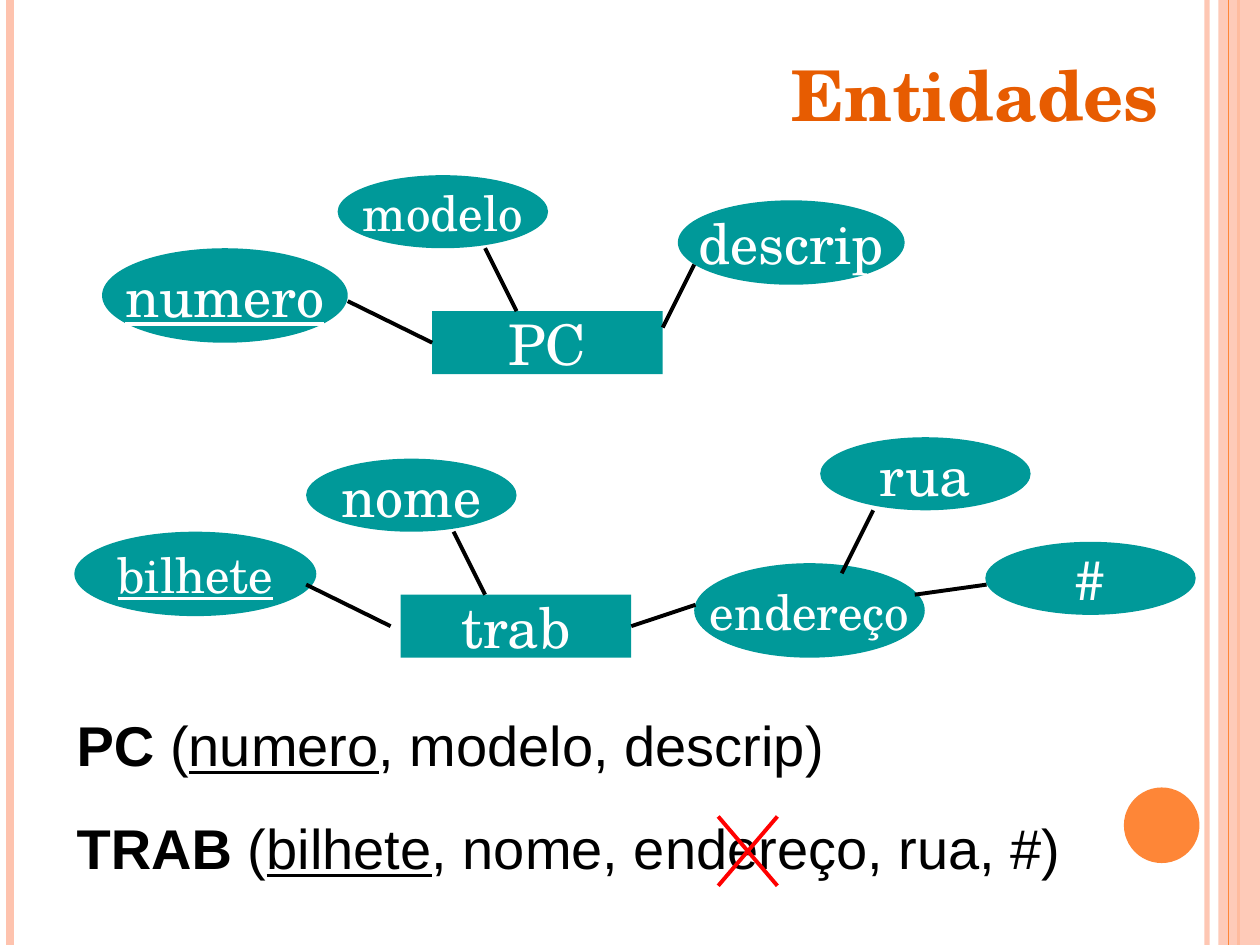
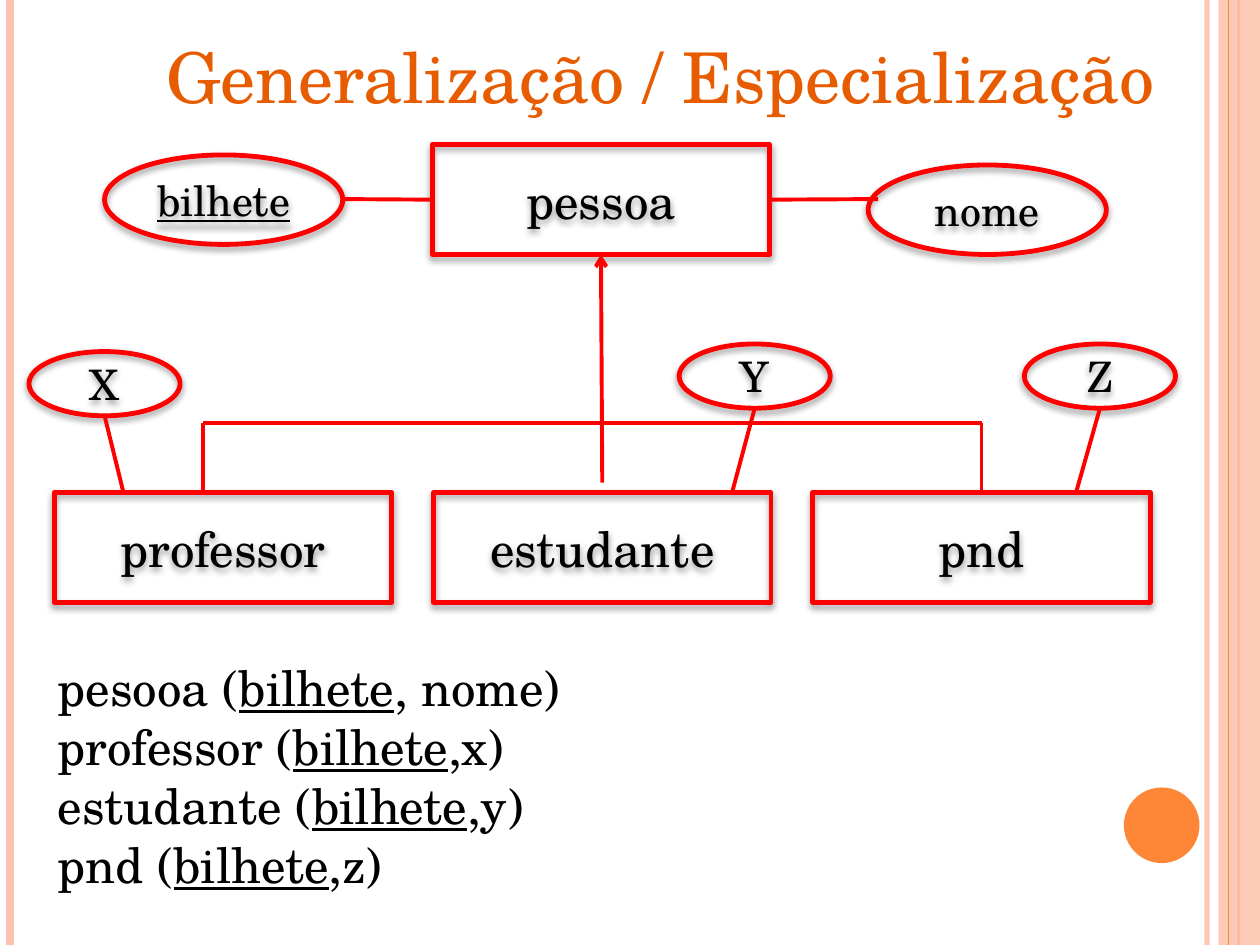
from dataclasses import dataclass

from lxml import etree
from pptx import Presentation, util as u
from pptx.dml.color import RGBColor
from pptx.enum import shapes, text
from pptx.oxml.ns import qn

PX = 9144  # one px is a hundredth of an inch
WIDTH, HEIGHT = 1000, 750

SERIF, SANS = "TeX Gyre Schola", "Arial"
BLACK, WHITE, RED = "000000", "FFFFFF", "FF0000"
TITLE, ORANGE, PEACH, TEAL = "E75C01", "FE8637", "FEC3AE", "009999"

RECTANGLE = shapes.MSO_SHAPE.RECTANGLE
OVAL = shapes.MSO_SHAPE.OVAL
TOP, LEFT, BOTTOM, RIGHT = range(4)


@dataclass
class DiagramStyle:
    fill: str | None
    outline: str | None
    font: str
    link: str
    shadow: bool


SOLID = DiagramStyle(TEAL, None, WHITE, BLACK, False)
OUTLINED = DiagramStyle(None, RED, BLACK, RED, True)


def px(*lengths):
    return [u.Emu(length * PX) for length in lengths]


def color(value):
    return RGBColor.from_string(value)


def set_opacity(element, percent):
    etree.SubElement(next(element.iter(qn("a:srgbClr"))), qn("a:alpha"), val=str(percent * 1000))


def add_run(paragraph, content, size, ink, font=SERIF, mark=""):
    """Mark holds b for bold and u for underlined."""
    run = paragraph.add_run()
    run.text = content
    run.font.name, run.font.size = font, u.Pt(size)
    run.font.color.rgb = color(ink)
    run.font.bold = "b" in mark
    run.font.underline = "u" in mark


def add_shadow(shape):
    effects = shape._element.spPr.find(qn("a:effectLst"))
    shadow = etree.SubElement(effects, qn("a:outerShdw"), blurRad=str(u.Pt(4)),
                              dist=str(u.Pt(2)), dir="5400000", rotWithShape="0")
    etree.SubElement(shadow, qn("a:srgbClr"), val=BLACK)
    set_opacity(shadow, 40)


def add_shape(slide, kind, box, fill=None, outline=None):
    shape = slide.shapes.add_shape(kind, *px(*box))
    shape.shadow.inherit = False
    if fill:
        shape.fill.solid()
        shape.fill.fore_color.rgb = color(fill)
    else:
        shape.fill.background()
    if outline:
        shape.line.color.rgb = color(outline)
        shape.line.width = u.Pt(2.75)
    else:
        shape.line.fill.background()
    return shape


def add_line(slide, start, end, ink, width=2.25, joint=None, arrow=False):
    """Joint is the shape and the side that the end is joined to."""
    line = slide.shapes.add_connector(shapes.MSO_CONNECTOR.STRAIGHT, *px(*start, *end))
    if joint:
        line.end_connect(*joint)
    line.line.color.rgb = color(ink)
    line.line.width = u.Pt(width)
    properties = line._element.spPr
    if arrow:
        etree.SubElement(properties.find(qn("a:ln")), qn("a:tailEnd"), type="arrow")
    etree.SubElement(properties, qn("a:effectLst"))
    return line


def add_text_box(slide, box, wrap=True):
    frame = slide.shapes.add_textbox(*px(*box)).text_frame
    frame.word_wrap = wrap
    frame.auto_size = text.MSO_AUTO_SIZE.SHAPE_TO_FIT_TEXT
    return frame


def add_frame(slide):
    """Side bands and corner disc."""
    def rule(x, ink, width):
        return add_line(slide, (x, 0), (x, HEIGHT), ink, width)

    set_opacity(rule(958, PEACH, 3)._element, 93)
    rule(8, PEACH, 4.5)
    rule(983, ORANGE, 1.5)
    band = add_shape(slide, RECTANGLE, (967, 0, 33, HEIGHT), PEACH)
    set_opacity(band._element, 87)
    rule(975, ORANGE, 0.75)
    add_shape(slide, OVAL, (892, 625, 60, 60), ORANGE)


def add_title(slide, box, content, mark=""):
    frame = add_text_box(slide, box, wrap=False)
    add_run(frame.paragraphs[0], content, 40, TITLE, mark=mark)


def add_relations(slide, box, relations, size, font=SERIF, before=0, pitch=None):
    """One paragraph for each relation, given as (content, mark) runs."""
    frame = add_text_box(slide, box)
    for index, runs in enumerate(relations):
        paragraph = frame.add_paragraph() if index else frame.paragraphs[0]
        paragraph.space_before = u.Pt(before)
        if pitch:
            paragraph.line_spacing = u.Pt(pitch)
        for content, mark in runs:
            add_run(paragraph, content, size, BLACK, font, mark)


def add_cross(slide, box):
    left, top, width, height = box
    right, bottom = left + width, top + height
    add_line(slide, (left, top), (right, bottom), RED)
    add_line(slide, (left, bottom), (right, top), RED)


def add_diagram(slide, origin, style, nodes, links):
    """Nodes: name, kind, box, size, mark. Links: start, end, joined name, side, arrow."""
    left, top = origin

    def place(x, y):
        return left + x, top + y

    placed = {}
    for name, kind, (x, y, width, height), size, mark in nodes:
        shape = add_shape(slide, kind, (*place(x, y), width, height), style.fill, style.outline)
        if style.shadow:
            add_shadow(shape)
        frame = shape.text_frame
        frame.word_wrap = False
        frame.vertical_anchor = text.MSO_ANCHOR.MIDDLE
        paragraph = frame.paragraphs[0]
        paragraph.alignment = text.PP_ALIGN.CENTER
        add_run(paragraph, name, size, style.font, mark=mark)
        placed[name] = shape
    for start, end, *rest in links:
        joint = (placed[rest[0]], rest[1]) if rest else None
        add_line(slide, place(*start), place(*end), style.link, joint=joint, arrow=len(rest) > 2)


def add_pc_diagram(slide, origin):
    nodes = [
        ("PC", RECTANGLE, (262, 108, 183, 50), 32, ""),
        ("numero", OVAL, (0, 58, 195, 75), 32, "u"),
        ("modelo", OVAL, (187, 0, 167, 58), 28, ""),
        ("descrip", OVAL, (457, 20, 180, 67), 32, ""),
    ]
    links = [
        ((195, 100), (262, 133), "PC", LEFT),
        ((304, 58), (329, 108)),
        ((470, 71), (445, 121)),
    ]
    add_diagram(slide, origin, SOLID, nodes, links)


def add_trab_diagram(slide, origin):
    nodes = [
        ("trab", RECTANGLE, (259, 125, 183, 50), 32, ""),
        ("bilhete", OVAL, (0, 75, 192, 67), 28, "u"),
        ("nome", OVAL, (184, 17, 167, 58), 32, ""),
        ("rua", OVAL, (592, 0, 167, 58), 32, ""),
        ("endereço", OVAL, (492, 100, 183, 75), 28, ""),
        ("#", OVAL, (723, 83, 167, 58), 32, ""),
    ]
    links = [
        ((184, 117), (251, 150)),
        ((301, 75), (326, 125)),
        ((634, 58), (609, 108)),
        ((493, 133), (442, 150), "trab", RIGHT),
        ((724, 117), (667, 125)),
    ]
    add_diagram(slide, origin, SOLID, nodes, links)


def add_pessoa_diagram(slide, origin):
    entity, attribute, detail = (268, 87), (189, 71), (120, 51)
    nodes = [("pessoa", RECTANGLE, (320, 0, *entity), 28, "")]
    nodes += [(name, RECTANGLE, (20 + 301 * index, 276, *entity), 28, "")
              for index, name in enumerate(("professor", "estudante", "pnd"))]
    nodes += [
        ("bilhete", OVAL, (60, 8, *attribute), 24, "u"),
        ("nome", OVAL, (666, 16, *attribute), 24, ""),
        ("X", OVAL, (0, 164, *detail), 24, ""),
        ("Y", OVAL, (516, 158, *detail), 24, ""),
        ("Z", OVAL, (790, 158, *detail), 24, ""),
    ]
    links = [
        # Generalization arrow and branch
        ((455, 268), (454, 87), "pessoa", BOTTOM, "arrow"),
        ((138, 221), (756, 221)),
        ((138, 221), (138, 276)),
        ((756, 221), (756, 276), "pnd", TOP),
        # Attributes
        ((249, 43), (320, 43), "pessoa", LEFT),
        ((674, 43), (588, 43), "pessoa", RIGHT),
        ((60, 215), (75, 276)),
        ((576, 209), (558, 276)),
        ((850, 209), (831, 276)),
    ]
    add_diagram(slide, origin, OUTLINED, nodes, links)


def build_entities(slide):
    add_title(slide, (618, 36, 315, 77), "Entidades", "b")
    add_pc_diagram(slide, (81, 139))
    add_trab_diagram(slide, (59, 347))
    relations = [
        [("PC ", "b"), ("(", ""), ("numero", "u"), (", modelo, descrip)", "")],
        [("TRAB", "b"), (" (", ""), ("bilhete", "u"), (", nome, endereço, rua, #)", "")],
    ]
    add_relations(slide, (51, 558, 892, 146), relations, 32, SANS, before=20, pitch=39)
    add_cross(slide, (570, 648, 47, 55))


def build_generalization(slide):
    add_title(slide, (122, 22, 813, 77), "Generalização / Especialização")
    add_pessoa_diagram(slide, (23, 115))
    relations = [[(f"{name} (", ""), ("bilhete", "u"), (f",{rest})", "")]
                 for name, rest in (("pesooa", " nome"), ("professor", "x"),
                                    ("estudante", "y"), ("pnd", "z"))]
    add_relations(slide, (36, 517, 503, 199), relations, 28)


def main():
    presentation = Presentation()
    presentation.slide_width, presentation.slide_height = px(WIDTH, HEIGHT)
    for build in (build_entities, build_generalization):
        slide = presentation.slides.add_slide(presentation.slide_layouts[6])
        add_frame(slide)
        build(slide)
    presentation.save("out.pptx")


if __name__ == "__main__":
    main()
